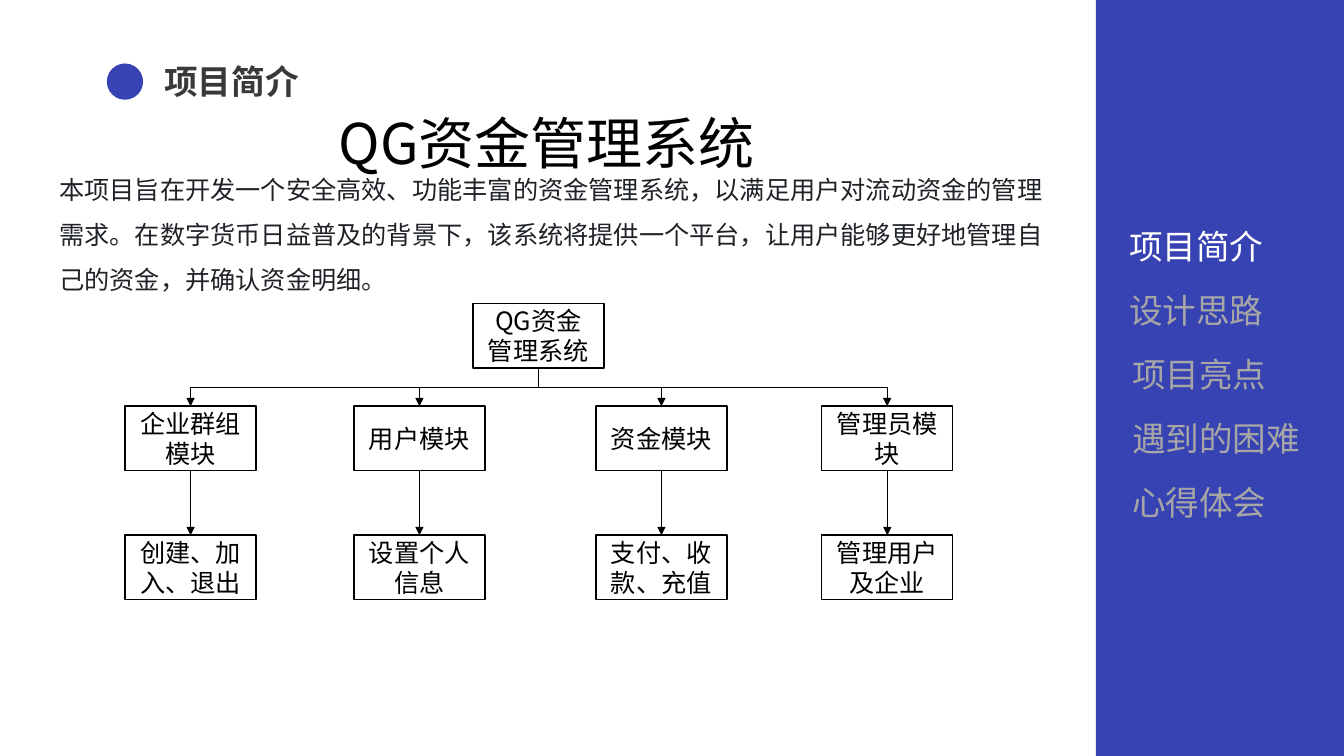
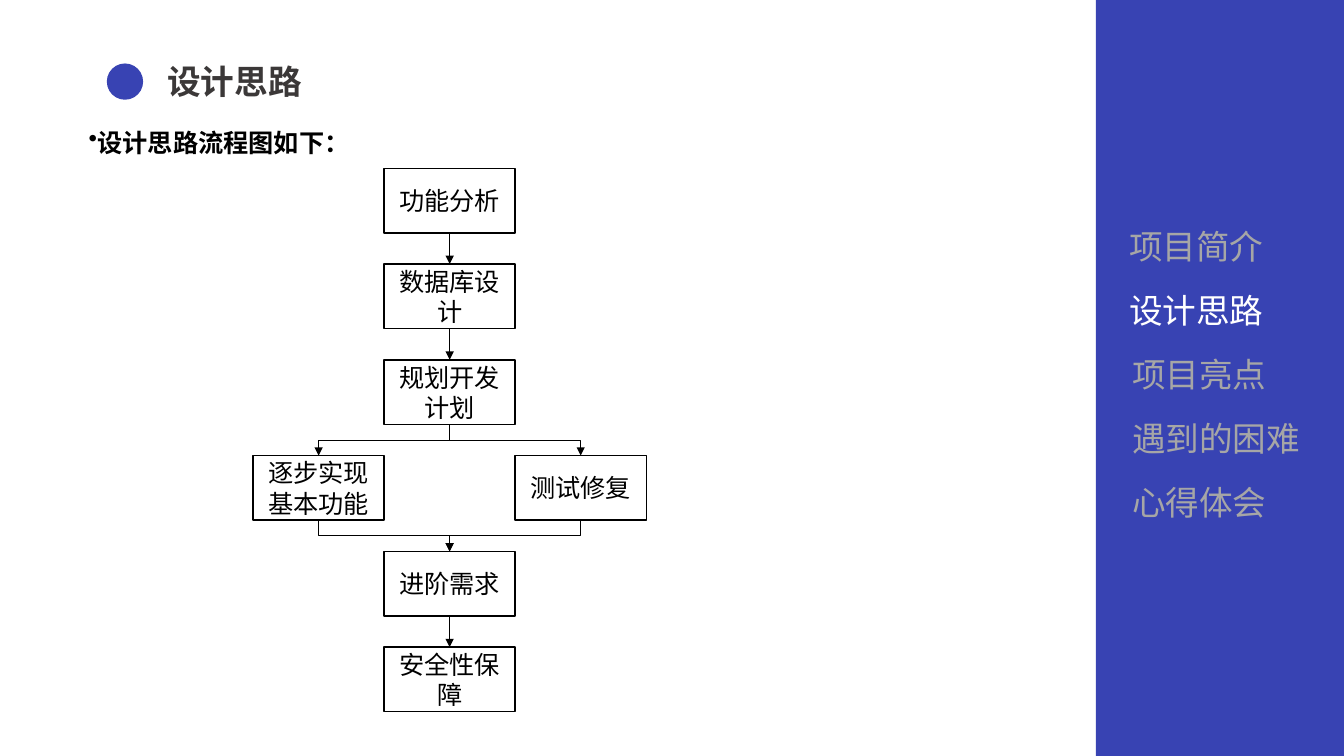
"""Build two project slides with a navigation sidebar and flow charts."""
from lxml.etree import SubElement
from pptx import Presentation
from pptx.dml.color import RGBColor
from pptx.enum.shapes import MSO_CONNECTOR as Connector, MSO_SHAPE as Shape
from pptx.enum.text import MSO_ANCHOR as Anchor, MSO_AUTO_SIZE as AutoSize, PP_ALIGN as Align
from pptx.oxml.ns import qn
from pptx.util import Inches, Pt

COLORS = {
    "accent": "3843B3",
    "heading": "3B3838",
    "muted": "A6A6A6",
    "body": "1F2328",
    "black": "000000",
    "white": "FFFFFF",
}
FONT = "Noto Sans CJK SC"
BODY_FONT = "Lato"
MENU = [
    ("项目简介", 11.1),
    ("设计思路", 11.1),
    ("项目亮点", 11.13),
    ("遇到的困难", 11.13),
    ("心得体会", 11.13),
]
MENU_TOP, MENU_STEP = 2.19, 0.635
NODE_WIDTH, NODE_HEIGHT = 1.3, 0.64
BOTTOM_SITE, TOP_SITE = 2, 0


def rgb(name):
    return RGBColor.from_string(COLORS[name])


def add_run(paragraph, text, size, color, bold=False, font=FONT):
    run = paragraph.add_run()
    run.text = text
    run.font.size = Pt(size)
    run.font.bold = bold
    run.font.name = font
    run.font.color.rgb = rgb(color)
    properties = run.font._element
    properties.set("lang", "zh-CN")
    SubElement(properties, qn("a:ea")).set("typeface", FONT)


def add_textbox(slide, left, top, width, height):
    box = slide.shapes.add_textbox(Inches(left), Inches(top), Inches(width), Inches(height))
    box.text_frame.word_wrap = True
    box.text_frame.auto_size = AutoSize.SHAPE_TO_FIT_TEXT
    return box.text_frame


def add_label(slide, text, left, top, width, size, color, bold=False):
    paragraph = add_textbox(slide, left, top, width, 0.5).paragraphs[0]
    add_run(paragraph, text, size, color, bold)
    return paragraph


def add_filled_shape(slide, kind, left, top, width, height, fill):
    shape = slide.shapes.add_shape(kind, Inches(left), Inches(top), Inches(width), Inches(height))
    shape.shadow.inherit = False
    shape.fill.solid()
    shape.fill.fore_color.rgb = rgb(fill)
    shape.line.fill.background()
    return shape


def add_node(slide, text, left, top):
    node = add_filled_shape(slide, Shape.FLOWCHART_PROCESS, left, top, NODE_WIDTH, NODE_HEIGHT, "white")
    node.line.color.rgb = rgb("black")
    node.line.width = Pt(1)
    node.text_frame.word_wrap = True
    node.text_frame.vertical_anchor = Anchor.MIDDLE
    paragraph = node.text_frame.paragraphs[0]
    paragraph.alignment = Align.CENTER
    add_run(paragraph, text, 18, "black")
    return node


def route_vertically(connector, start_x, start_y, end_x, end_y):
    run, drop = end_x - start_x, end_y - start_y
    connector.left = (start_x + end_x - drop) // 2
    connector.top = (start_y + end_y - abs(run)) // 2
    connector.width, connector.height = drop, abs(run)
    transform = connector._element.spPr.find(qn("a:xfrm"))
    for flip in ("flipH", "flipV"):
        transform.attrib.pop(flip, None)
    transform.set("rot", str((90 if run < 0 else 270) * 60000))
    if run > 0:
        transform.set("flipH", "1")


def add_arrow(slide, source, target):
    start_x, start_y = source.left + source.width // 2, source.top + source.height
    end_x, end_y = target.left + target.width // 2, target.top
    straight = start_x == end_x
    kind = Connector.STRAIGHT if straight else Connector.ELBOW
    connector = slide.shapes.add_connector(kind, start_x, start_y, end_x, end_y)
    connector.begin_connect(source, BOTTOM_SITE)
    connector.end_connect(target, TOP_SITE)
    if not straight:
        route_vertically(connector, start_x, start_y, end_x, end_y)
    connector.line.color.rgb = rgb("black")
    connector.line.width = Pt(0.5)
    properties = connector._element.spPr
    SubElement(properties.get_or_add_ln(), qn("a:tailEnd")).set("type", "triangle")
    SubElement(properties, qn("a:effectLst"))


def add_section_slide(presentation, current, title_left):
    slide = presentation.slides.add_slide(presentation.slide_layouts[6])
    add_filled_shape(slide, Shape.RECTANGLE, 10.87, 0, 2.46, 7.5, "accent")
    add_filled_shape(slide, Shape.OVAL, 1.06, 0.63, 0.36, 0.36, "accent")
    add_label(slide, MENU[current][0], title_left, 0.56, 2.91, 24, "heading", True)
    for index, (text, left) in enumerate(MENU):
        color = "white" if index == current else "muted"
        add_label(slide, text, left, MENU_TOP + index * MENU_STEP, 1.95, 24, color)
    return slide


def add_introduction(slide, title, lines):
    frame = add_textbox(slide, -0.03, 1.03, 10.9, 2.4)
    heading = frame.paragraphs[0]
    heading.alignment = Align.CENTER
    add_run(heading, title, 40, "black")
    for line in lines:
        paragraph = frame.add_paragraph()
        paragraph.line_spacing = Pt(20.2)
        paragraph.space_after = Pt(12)
        paragraph._element.get_or_add_pPr().set("marL", str(Inches(0.52)))
        add_run(paragraph, line, 18, "body", font=BODY_FONT)


def build_overview(presentation):
    slide = add_section_slide(presentation, 0, 1.53)
    add_introduction(slide, "QG资金管理系统", [
        "本项目旨在开发一个安全高效、功能丰富的资金管理系统，以满足用户对流动资金的管理",
        "需求。在数字货币日益普及的背景下，该系统将提供一个平台，让用户能够更好地管理自",
        "己的资金，并确认资金明细。",
    ])
    root = add_node(slide, "QG资金管理系统", 4.69, 3.01)
    branches = [
        (1.24, "企业群组模块", "创建、加入、退出"),
        (3.51, "用户模块", "设置个人信息"),
        (5.91, "资金模块", "支付、收款、充值"),
        (8.15, "管理员模块", "管理用户及企业"),
    ]
    for left, module_name, task_name in branches:
        module = add_node(slide, module_name, left, 4.03)
        task = add_node(slide, task_name, left, 5.31)
        add_arrow(slide, root, module)
        add_arrow(slide, module, task)


def build_design(presentation):
    slide = add_section_slide(presentation, 1, 1.56)
    bullet = add_label(slide, "设计思路流程图如下：", 0.78, 1.21, 9.98, 18, "black", True)
    SubElement(bullet._element.get_or_add_pPr(), qn("a:buChar")).set("char", "•")
    center, top, step = 3.81, 1.67, 0.95
    rows = [
        [("功能分析", center)],
        [("数据库设计", center)],
        [("规划开发计划", center)],
        [("逐步实现基本功能", center - NODE_WIDTH), ("测试修复", center + NODE_WIDTH)],
        [("进阶需求", center)],
        [("安全性保障", center)],
    ]
    previous = []
    for index, row in enumerate(rows):
        nodes = [add_node(slide, text, left, top + index * step) for text, left in row]
        for source in previous:
            for target in nodes:
                add_arrow(slide, source, target)
        previous = nodes


def main():
    presentation = Presentation()
    presentation.slide_width = Inches(13.33)
    presentation.slide_height = Inches(7.5)
    build_overview(presentation)
    build_design(presentation)
    presentation.save("out.pptx")


if __name__ == "__main__":
    main()
